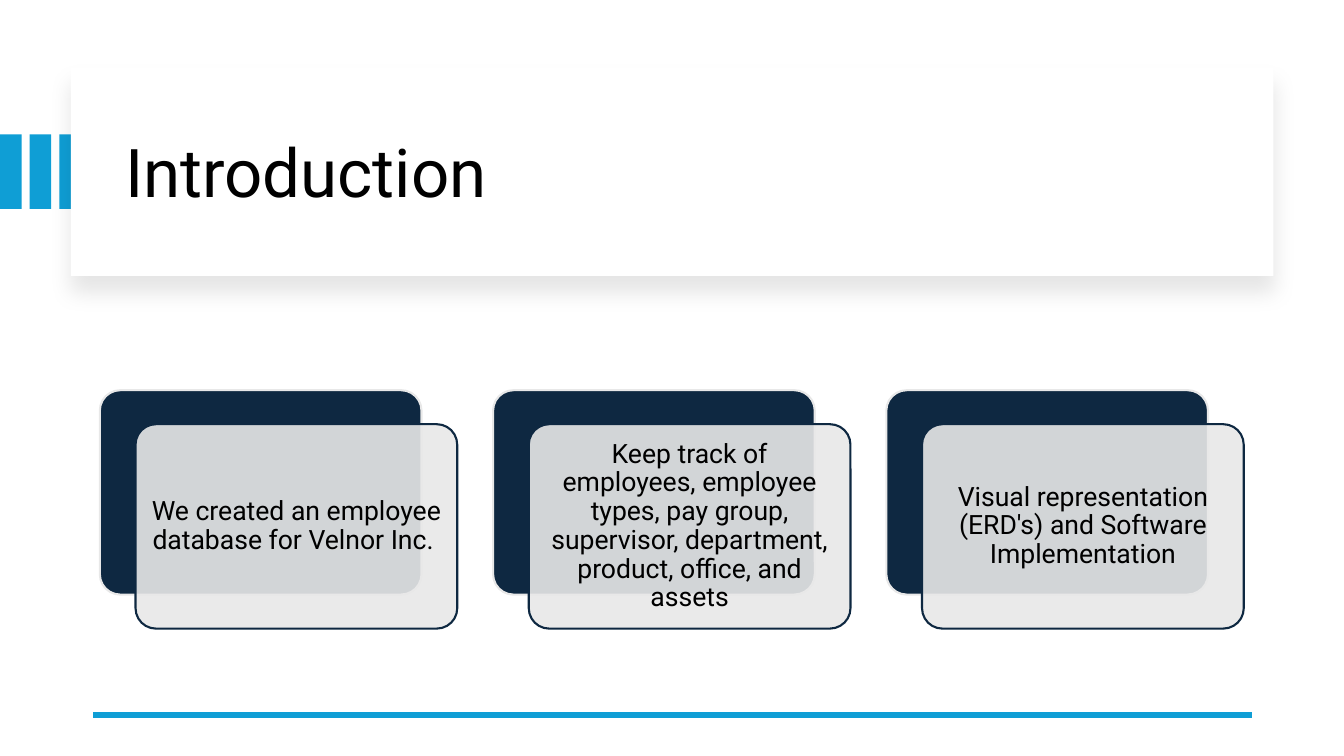
from lxml import etree
from pptx import Presentation
from pptx import util as u
from pptx.dml.color import RGBColor
from pptx.enum import shapes, text
from pptx.oxml import ns

COLORS = {"blue": "0F9ED5", "navy": "0E2841", "gray": "E8E8E8",
          "white": "FFFFFF", "black": "000000"}
POINTS = [
    "We created an employee database for Velnor Inc.\u00a0",
    "Keep track of employees, employee types, pay group, supervisor, "
    "department, product, office, and assets",
    "Visual representation (ERD's) and Software Implementation",
]


def color(name):
    return RGBColor.from_string(COLORS[name])


def add_box(slide, kind, box, fill, line=None):
    """Add a flat preset shape; box is left, top, width, height in points."""
    shape = slide.shapes.add_shape(kind, *map(u.Pt, box))
    shape.shadow.inherit = False
    shape.fill.solid()
    shape.fill.fore_color.rgb = color(fill)
    if line:
        shape.line.color.rgb = color(line)
        shape.line.width = u.Pt(1.5)
    else:
        shape.line.fill.background()
    return shape


def set_alpha(parent, percent):
    """Set the opacity of the first RGB colour below parent."""
    rgb = next(parent.iter(ns.qn("a:srgbClr")))
    etree.SubElement(rgb, ns.qn("a:alpha"), val=str(percent * 1000))


def write(shape, words, size, align, inset, space_after=0):
    frame = shape.text_frame
    frame.word_wrap = True
    frame.auto_size = text.MSO_AUTO_SIZE.NONE
    frame.vertical_anchor = text.MSO_ANCHOR.MIDDLE
    frame.margin_left = frame.margin_right = u.Pt(inset)
    frame.margin_top = frame.margin_bottom = u.Pt(min(inset, 5.7))
    para = frame.paragraphs[0]
    para.alignment = align
    para.line_spacing = 0.9
    para.space_after = u.Pt(space_after)
    span = para.add_run()
    span.text = words
    span.font.name = "Roboto"
    span.font.size = u.Pt(size)
    span.font.color.rgb = color("black")


def add_header(slide, box):
    """Add the stripes at the slide edge, the shadowed card and the title."""
    left, top, width, height = box
    for index in range(3):
        add_box(slide, shapes.MSO_SHAPE.RECTANGLE,
                (index * 21.2, top + 47.8, 15.4, 53.3), "blue")
    card = add_box(slide, shapes.MSO_SHAPE.RECTANGLE, box, "white")
    effects = card.element.spPr.find(ns.qn("a:effectLst"))
    shadow = etree.SubElement(
        effects, ns.qn("a:outerShdw"), blurRad=str(u.Pt(15)),
        dist=str(u.Pt(11)), dir="5400000", algn="t", rotWithShape="0")
    etree.SubElement(shadow, ns.qn("a:srgbClr"), val=COLORS["black"])
    set_alpha(shadow, 10)

    title = slide.shapes.title
    card.element.addnext(title.element)
    title.left, title.top = u.Pt(left + 31.6), u.Pt(top + 15.8)
    title.width, title.height = u.Pt(width - 57.6), u.Pt(height - 26.6)
    write(title, "Introduction", 48, text.PP_ALIGN.LEFT, 7.2)


def add_rule(slide, left, right, y):
    rule = slide.shapes.add_connector(
        shapes.MSO_CONNECTOR.STRAIGHT, u.Pt(right), u.Pt(y), u.Pt(left), u.Pt(y))
    rule.line.color.rgb = color("blue")
    rule.line.width = u.Pt(4.5)
    etree.SubElement(rule.element.spPr, ns.qn("a:effectLst"))


def add_point(slide, box, words):
    """Add a dark card with a translucent text card offset in front of it."""
    left, top, width, height = box
    kind = shapes.MSO_SHAPE.ROUNDED_RECTANGLE
    back = add_box(slide, kind, box, "navy", "gray")
    front = add_box(slide, kind, (left + 25.5, top + 24.3, width, height),
                    "gray", "navy")
    for card in (back, front):
        card.adjustments[0] = 0.1
    set_alpha(front.element.spPr.find(ns.qn("a:solidFill")), 90)
    write(front, words, 19, text.PP_ALIGN.CENTER, 5.7, space_after=6.65)


def main():
    deck = Presentation()
    deck.slide_width, deck.slide_height = u.Pt(960), u.Pt(540)
    slide = deck.slides.add_slide(deck.slide_layouts[5])
    add_header(slide, (50.6, 48.2, 859, 149))
    add_rule(slide, 66.2, 894.2, 510.5)
    for index, words in enumerate(POINTS):
        add_point(slide, (71.3 + index * 280.9, 278.7, 229.8, 146), words)
    deck.save("out.pptx")


if __name__ == "__main__":
    main()
